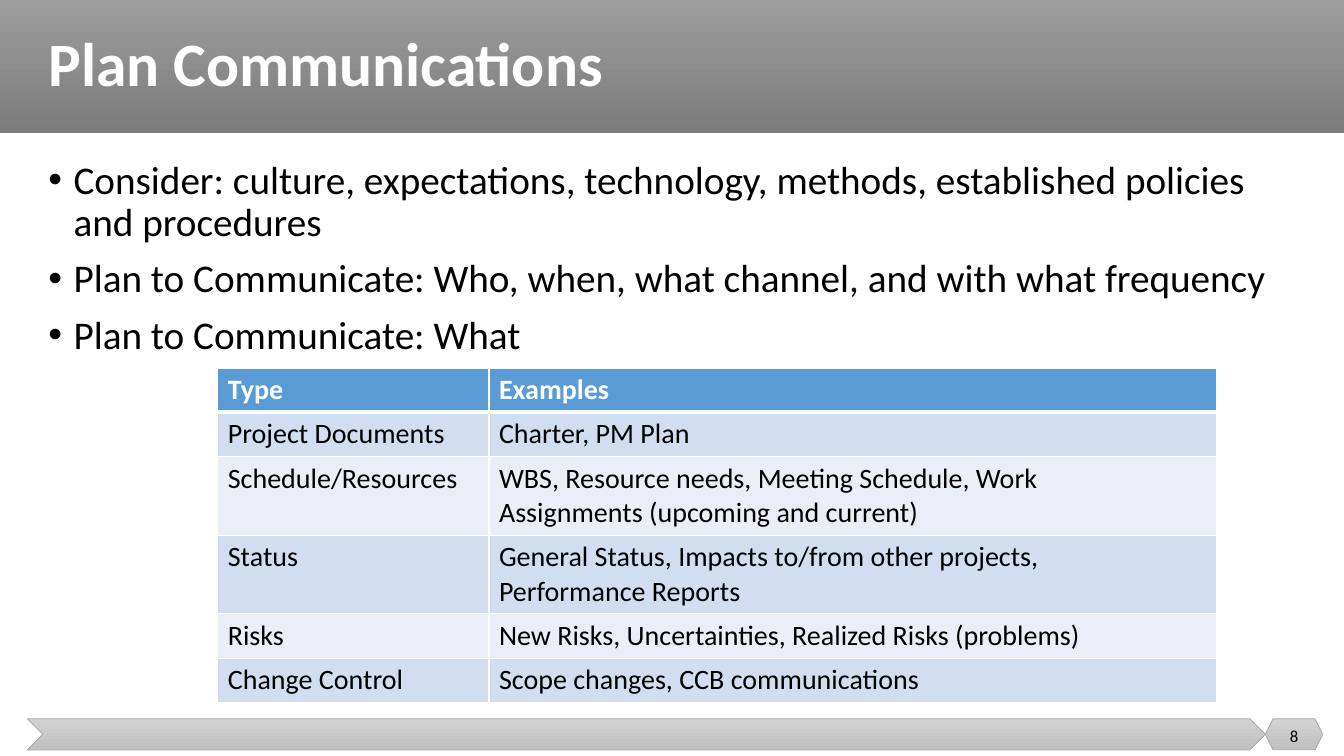
from dataclasses import dataclass

from lxml import etree
from pptx import Presentation
from pptx import util as u
from pptx.dml.color import RGBColor
from pptx.enum import shapes, text
from pptx.oxml.ns import qn


@dataclass(frozen=True)
class Theme:
    """Colours, typeface and type sizes of the deck."""
    font: str = "Calibri"
    white: str = "FFFFFF"
    black: str = "000000"
    banner: tuple = ("9D9D9D", "7C7C7C")
    footer: tuple = ("D2D2D2", "C0C0C0")
    footer_line: str = "A5A5A5"
    header: str = "5B9BD5"
    bands: tuple = ("D2DEEF", "EAEFF7")
    title_size: int = 44
    body_size: int = 28
    table_size: int = 20
    number_size: int = 12


THEME = Theme()

BULLETS = [
    "Consider: culture, expectations, technology, methods, established policies and procedures",
    "Plan to Communicate: Who, when, what channel, and with what frequency",
    "Plan to Communicate: What",
]

COMMUNICATION_TYPES = [
    ("Type", "Examples"),
    ("Project Documents", "Charter, PM Plan"),
    ("Schedule/Resources",
     "WBS, Resource needs, Meeting Schedule, Work\nAssignments (upcoming and current)"),
    ("Status", "General Status, Impacts to/from other projects,\nPerformance Reports"),
    ("Risks", "New Risks, Uncertainties, Realized Risks (problems)"),
    ("Change Control", "Scope changes, CCB communications"),
]


def inches(box):
    """Convert a box of inch values to lengths."""
    return [u.Inches(value) for value in box]


def place(shape, box):
    """Move and size a shape to fit a box."""
    shape.left, shape.top, shape.width, shape.height = inches(box)


def format_text(frame, size, color, bold=False):
    """Apply the theme font to every run of a text frame."""
    for paragraph in frame.paragraphs:
        for run in paragraph.runs:
            run.font.name = THEME.font
            run.font.size = u.Pt(size)
            run.font.bold = bold
            run.font.color.rgb = RGBColor.from_string(color)


def add_gradient_shape(slide, kind, box, colors, line=None):
    """Add a preset shape with a top-to-bottom gradient."""
    shape = slide.shapes.add_shape(kind, *inches(box))
    shape.shadow.inherit = False
    shape.fill.gradient()
    shape.fill.gradient_angle = 270
    for stop, color in zip(shape.fill.gradient_stops, colors):
        stop.color.rgb = RGBColor.from_string(color)
    if line:
        shape.line.color.rgb = RGBColor.from_string(line)
        shape.line.width = u.Pt(0.5)
    else:
        shape.line.fill.background()


def add_banner(slide, box, title_text):
    """Draw the banner and set the title over it."""
    left, top, width, height = box
    add_gradient_shape(slide, shapes.MSO_SHAPE.RECTANGLE, box, THEME.banner)
    title = slide.shapes.title
    slide.shapes._spTree.append(title._element)
    place(title, (left + 0.38, top, width - 0.59, height))
    frame = title.text_frame
    frame.text = title_text
    frame.auto_size = text.MSO_AUTO_SIZE.NONE
    frame.vertical_anchor = text.MSO_ANCHOR.MIDDLE
    frame.paragraphs[0].alignment = text.PP_ALIGN.LEFT
    frame.paragraphs[0].line_spacing = 0.9
    format_text(frame, THEME.title_size, THEME.white, bold=True)


def add_footer(slide, box, number):
    """Draw the footer chevron and the numbered hexagon at its end."""
    left, top, width, height = box
    badge_width = 0.57
    badge_left = left + width - badge_width
    for kind, part in (
        (shapes.MSO_SHAPE.CHEVRON, (left, top, width - badge_width, height)),
        (shapes.MSO_SHAPE.HEXAGON, (badge_left, top, badge_width, height)),
    ):
        add_gradient_shape(slide, kind, part, THEME.footer, THEME.footer_line)
    label = slide.shapes.add_textbox(*inches((badge_left, top - 0.03, badge_width, 0.4)))
    frame = label.text_frame
    frame.word_wrap = True
    frame.text = number
    frame.vertical_anchor = text.MSO_ANCHOR.MIDDLE
    frame.paragraphs[0].alignment = text.PP_ALIGN.CENTER
    format_text(frame, THEME.number_size, THEME.black)


def fill_bullets(slide, box, items):
    """Place the body placeholder and write its bullets."""
    body = slide.placeholders[1]
    place(body, box)
    frame = body.text_frame
    frame.text = "\n".join(items)
    frame.auto_size = text.MSO_AUTO_SIZE.NONE
    for index, paragraph in enumerate(frame.paragraphs):
        properties = paragraph._p.get_or_add_pPr()
        properties.set("marL", str(u.Inches(0.25)))
        properties.set("indent", str(u.Inches(-0.25)))
        etree.SubElement(properties, qn("a:buFont"), typeface="Arial")
        etree.SubElement(properties, qn("a:buChar"), char="•")
        paragraph.line_spacing = 0.9
        paragraph.space_before = u.Pt(10 if index else 0)
    format_text(frame, THEME.body_size, THEME.black)


def set_borders(cell, widths):
    """Give a cell white borders, by side and width in points."""
    properties = cell._tc.get_or_add_tcPr()
    for side, width in widths.items():
        line = etree.SubElement(properties, qn(f"a:ln{side}"), w=str(u.Pt(width)))
        fill = etree.SubElement(line, qn("a:solidFill"))
        etree.SubElement(fill, qn("a:srgbClr"), val=THEME.white)


def add_types_table(slide, box, rows):
    """Add the banded table of communication types."""
    first_width = 2.69
    frame = slide.shapes.add_table(len(rows), 2, *inches(box))
    table = frame.table
    table.columns[0].width = u.Inches(first_width)
    table.columns[1].width = u.Inches(box[2] - first_width)
    for row_index, values in enumerate(rows):
        is_header = row_index == 0
        line_count = max(value.count("\n") + 1 for value in values)
        table.rows[row_index].height = u.Inches(0.1 + 0.34 * line_count)
        color = THEME.header if is_header else THEME.bands[(row_index - 1) % 2]
        for column_index, value in enumerate(values):
            cell = table.cell(row_index, column_index)
            set_borders(cell, {"L": 1, "R": 1, "T": 3 if row_index == 1 else 1,
                               "B": 3 if is_header else 1})
            cell.fill.solid()
            cell.fill.fore_color.rgb = RGBColor.from_string(color)
            cell.text_frame.text = value
            format_text(cell.text_frame, THEME.table_size,
                        THEME.white if is_header else THEME.black, bold=is_header)


def build_communications_slide(presentation):
    """Build the slide on planning communications."""
    slide = presentation.slides.add_slide(presentation.slide_layouts[1])
    add_banner(slide, (0, 0, 13.33, 1.32), "Plan Communications")
    fill_bullets(slide, (0.38, 1.54, 12.74, 5.19), BULLETS)
    add_footer(slide, (0.27, 7.13, 12.85, 0.31), "8")
    add_types_table(slide, (2.16, 3.65, 9.91, 3.32), COMMUNICATION_TYPES)


def main():
    """Create the presentation and save it."""
    presentation = Presentation()
    presentation.slide_width = u.Inches(13.33)
    presentation.slide_height = u.Inches(7.5)
    build_communications_slide(presentation)
    presentation.save("out.pptx")


if __name__ == "__main__":
    main()
